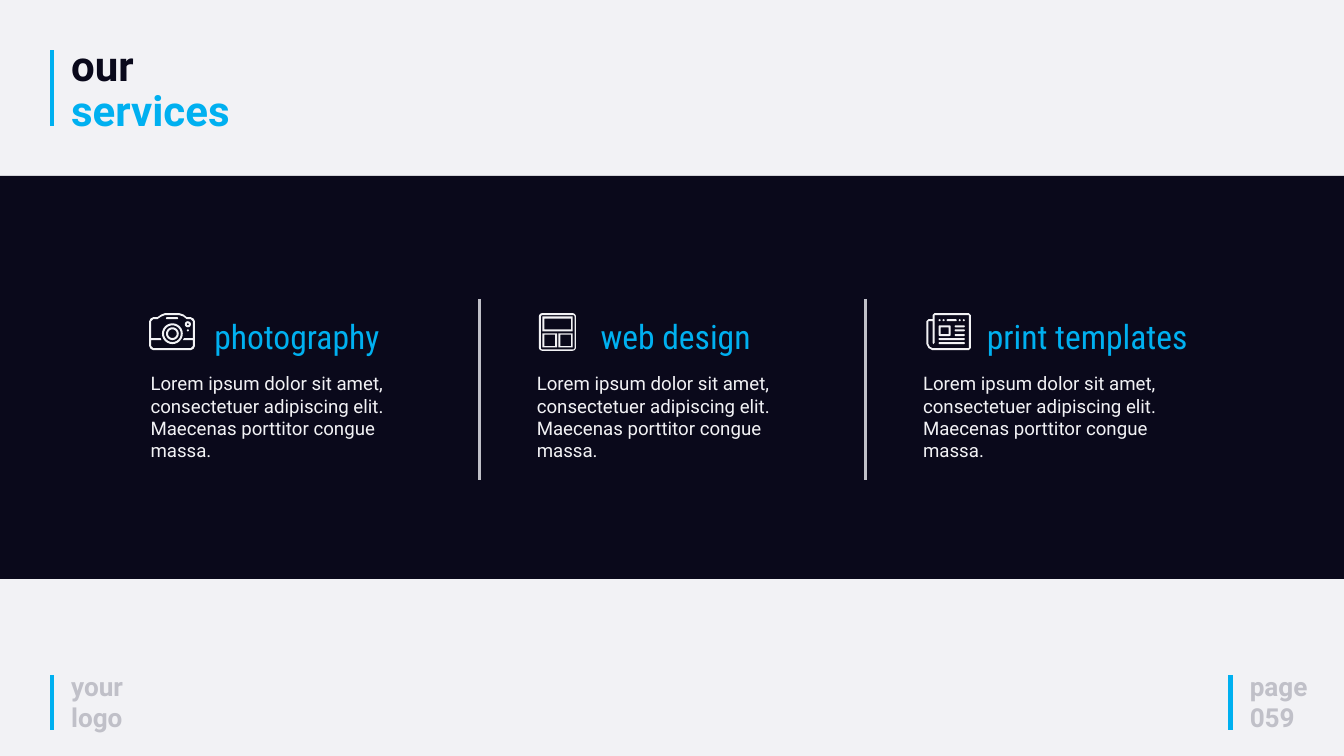
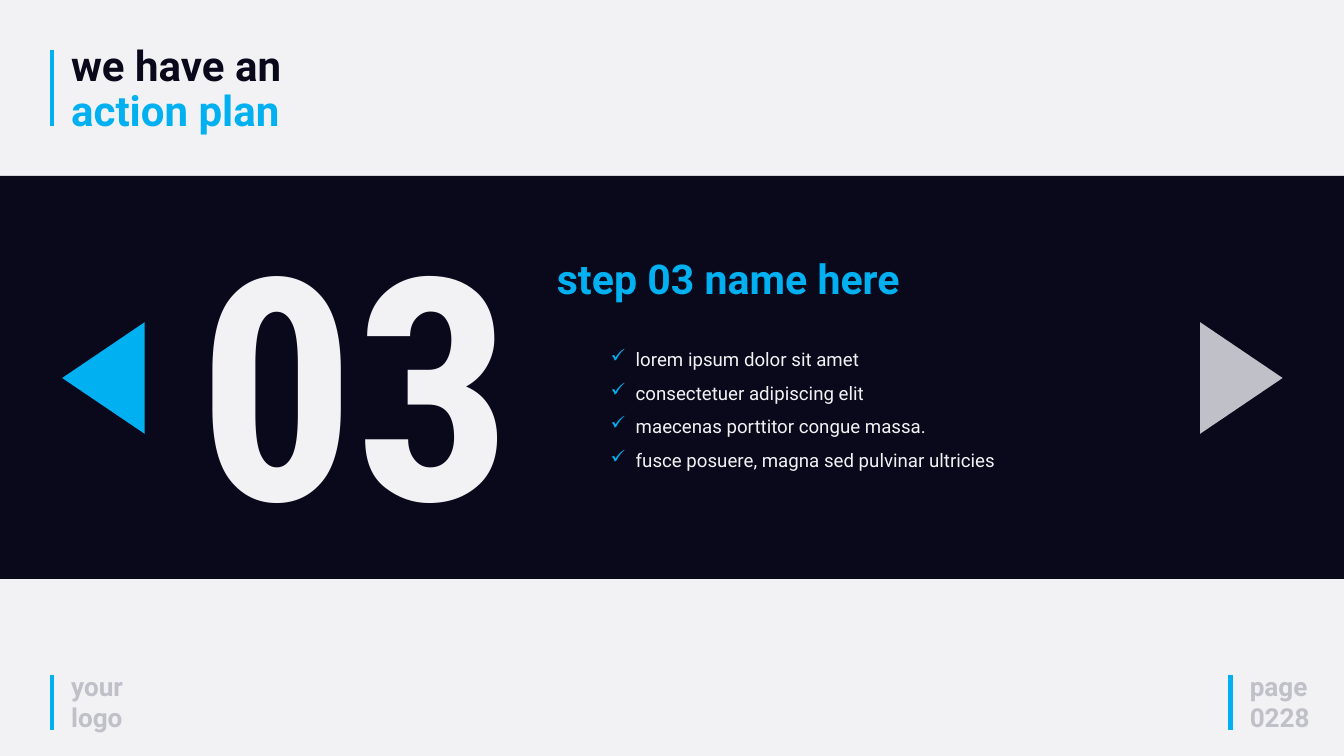
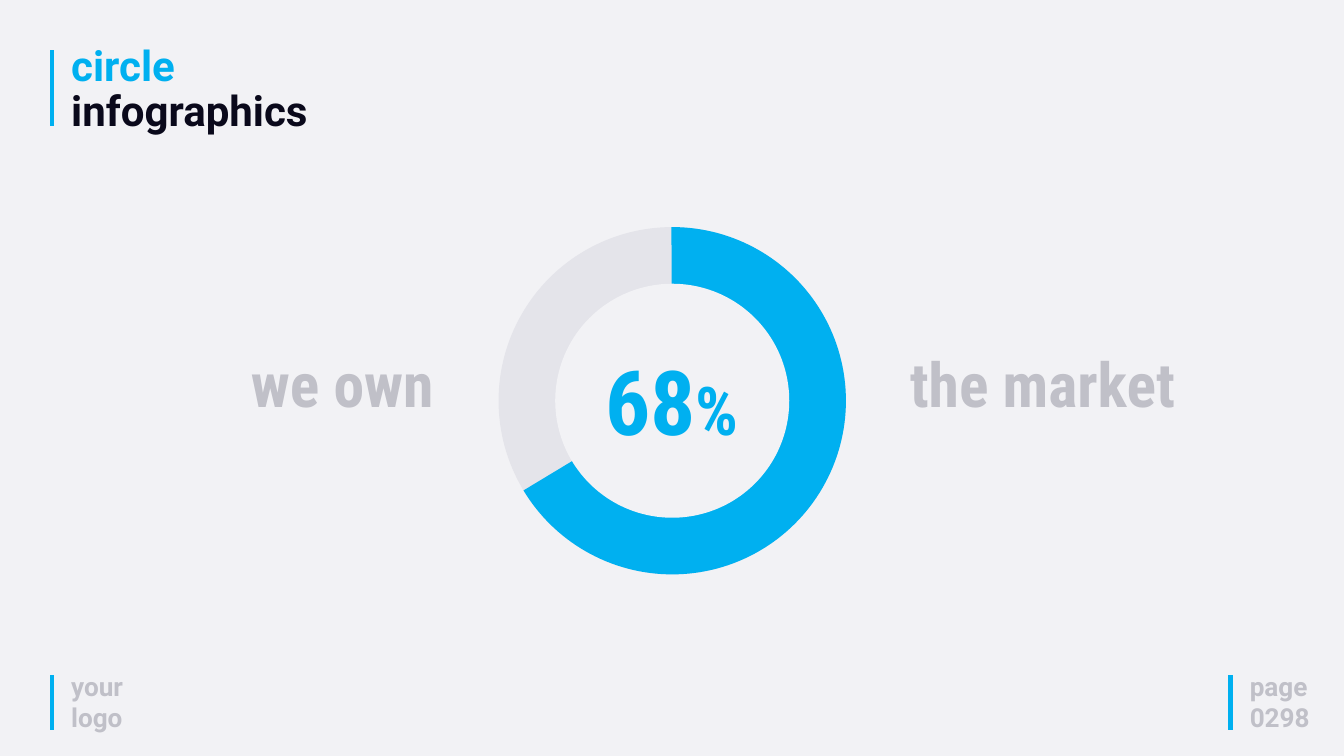
"""Builds three slides: services, action plan step and circle infographic."""
from math import cos, pi, sin

from lxml import etree
from pptx import Presentation
from pptx import util as u
from pptx.dml.color import RGBColor
from pptx.enum import shapes, text
from pptx.oxml.ns import qn

Cm = u.Cm
CYAN, NAVY, PALE, GREY, RING = "00B0F0", "0A091B", "F2F2F5", "C0C0C8", "E4E4EA"
PLAIN, NARROW = "Roboto", "Roboto Condensed"
SHAPE = shapes.MSO_SHAPE
ICON_UNIT = Cm(2.54) / 100

TITLES = [
    [("our", NAVY), ("services", CYAN)],
    [("we have an", NAVY), ("action plan", CYAN)],
    [("circle", CYAN), ("infographics", NAVY)],
]
PAGES = ["059", "0228", "0298"]
ACCENTS = [(1.96, 1.9, 4.78), (1.96, 25.53, 27.58), (46.51, 25.53, 27.58)]

BLURB = ("Lorem ipsum dolor sit amet, consectetuer adipiscing elit. "
         "Maecenas porttitor congue massa.")
CAMERA = {
    "boxes": [(25, 6, 43, 9, 1.5), (19, 15, 50, 46, 15.5), (22, 18, 47, 43, 12.5),
              (25, 21, 44, 40, 9.5), (28, 24, 41, 37, 6.5), (56, 24, 59, 27, 1.5),
              (53, 12, 62, 21, 4.5), (56, 15, 59, 18, 1.5)],
    "outlines": [
        [(0, 12), (2, 8), (6, 6), (12, 6), (18, 2), (23, 0), (45, 0), (51, 2), (56, 6),
         (62, 6), (66, 8), (68, 12), (68, 49), (66, 53), (62, 55), (6, 55), (2, 53), (0, 49)],
        [(65, 37), (52, 37), (50, 40), (65, 40), (65, 49), (62, 52), (6, 52), (3, 49),
         (3, 40), (18, 40), (17, 37), (3, 37), (3, 12), (6, 9), (12, 9), (18, 5), (23, 3),
         (45, 3), (51, 5), (56, 9), (62, 9), (65, 12)],
    ],
}
LAYOUT = {
    "boxes": [(0, 0, 55, 56, 5), (3, 3, 53, 54, 2), (5, 5, 50, 27, 0), (8, 8, 48, 24, 0),
              (5, 30, 27, 51, 0), (8, 32, 24, 49, 0), (29, 30, 50, 51, 0), (32, 32, 48, 49, 0)],
    "outlines": [],
}
NEWSPAPER = {
    "boxes": [(30, 9, 45, 12, 1.5), (18, 18, 36, 34, 2), (21, 21, 33, 31, 0),
              *[(x, 9, x + 3, 12, 1.5) for x in (18, 24, 48, 54)],
              *[(42, y, 57, y + 3, 1.5) for y in (18, 24, 31)],
              *[(18, y, 57, y + 3, 1.5) for y in (37, 43)]],
    "outlines": [
        [(12, 0), (63, 0), (66, 3), (66, 52), (63, 55), (9, 55), (3, 52), (0, 46),
         (0, 12), (3, 9), (9, 9), (9, 3)],
        [(63, 52), (9, 52), (5, 50), (3, 46), (3, 12), (9, 12), (9, 44), (10, 46),
         (12, 44), (12, 3), (63, 3)],
    ],
}
SERVICES = [("photography", CAMERA, 0.2), ("web design", LAYOUT, 0.33),
            ("print templates", NEWSPAPER, 0.38)]
SERVICE_LEFT, SERVICE_STEP = 5.44, 14.6

STEP_NUMBER, STEP_NAME = "03", "step 03 name here"
STEP_POINTS = ["lorem ipsum dolor sit amet", "consectetuer adipiscing elit",
               "maecenas porttitor congue massa.",
               "fusce posuere, magna sed pulvinar ultricies"]
ARROWS = [(44.81, 90, GREY), (1.8, 270, CYAN)]

SHARE = [("68", 96), ("%", 72)]
RING_CENTRE = (25.41, 15.15)
CLAIMS = [("we own", 2.57, 14.07, text.PP_ALIGN.RIGHT),
          ("the market", 34.14, 13.56, text.PP_ALIGN.LEFT)]


def rgb(colour):
    """Turn a hex string into a colour."""
    return RGBColor.from_string(colour)


def style(font, size, colour, face, bold):
    """Set the look of a font."""
    font.size, font.name, font.bold = u.Pt(size), face, bold
    font.color.rgb = rgb(colour)


def add_text(slide, box, lines, size, colour, face=PLAIN, bold=False,
             align=None, spacing=None, bullet=None):
    """Add a wrapped text box with one paragraph per line."""
    frame = slide.shapes.add_textbox(*map(Cm, box)).text_frame
    frame.word_wrap = True
    for index, line in enumerate(lines):
        paragraph = frame.add_paragraph() if index else frame.paragraphs[0]
        paragraph.text = line
        if align is not None:
            paragraph.alignment = align
        if spacing:
            paragraph.line_spacing = spacing
        if bullet:
            add_bullet(paragraph, bullet)
        style(paragraph.font, size, colour, face, bold)
    return frame


def add_bullet(paragraph, mark):
    """Give a paragraph a cyan hanging bullet."""
    properties = paragraph._p.get_or_add_pPr()
    properties.set("marL", str(Cm(0.95)))
    properties.set("indent", str(-Cm(0.95)))
    tint = etree.SubElement(properties, qn("a:buClr"))
    etree.SubElement(tint, qn("a:srgbClr"), val=CYAN)
    etree.SubElement(properties, qn("a:buChar"), char=mark)


def paint(shape, fill, edge=None):
    """Fill a shape and outline it only if an edge colour is given."""
    shape.shadow.inherit = False
    shape.fill.solid()
    shape.fill.fore_color.rgb = rgb(fill)
    if edge:
        shape.line.color.rgb = rgb(edge)
        shape.line.width = u.Pt(3)
    else:
        shape.line.fill.background()
    return shape


def add_shape(slide, kind, box, fill, edge=None):
    """Add a painted preset shape."""
    return paint(slide.shapes.add_shape(kind, *map(Cm, box)), fill, edge)


def add_rule(slide, x, top, bottom, colour, width):
    """Add a vertical line."""
    rule = slide.shapes.add_connector(shapes.MSO_CONNECTOR.STRAIGHT,
                                      Cm(x), Cm(top), Cm(x), Cm(bottom))
    rule.line.color.rgb = rgb(colour)
    rule.line.width = u.Pt(width)
    etree.SubElement(rule._element.spPr, qn("a:effectLst"))


def rounded(left, top, right, bottom, radius):
    """List the points of a rounded box."""
    if not radius:
        return [(left, top), (right, top), (right, bottom), (left, bottom)]
    corners = [(right - radius, bottom - radius), (left + radius, bottom - radius),
               (left + radius, top + radius), (right - radius, top + radius)]
    return [(x + radius * cos(angle), y + radius * sin(angle))
            for quarter, (x, y) in enumerate(corners)
            for angle in [(quarter + step / 6) * pi / 2 for step in range(7)]]


def add_icon(slide, icon, left, top):
    """Draw all contours of an icon as one freeform."""
    contours = icon["outlines"] + [rounded(*box) for box in icon["boxes"]]
    builder = None
    for contour in contours:
        first, *rest = [(x * ICON_UNIT, y * ICON_UNIT) for x, y in contour]
        if builder:
            builder.move_to(*first)
        else:
            builder = slide.shapes.build_freeform(*first)
        builder.add_line_segments(rest, close=True)
    paint(builder.convert_to_shape(Cm(left), Cm(top)), PALE)


def add_base(deck, title, page, band):
    """Add a slide with its background, title, accents and footers."""
    slide = deck.slides.add_slide(deck.slide_layouts[6])
    slide.background.fill.solid()
    slide.background.fill.fore_color.rgb = rgb(PALE)
    if band:
        add_shape(slide, SHAPE.RECTANGLE, (0, 6.65, 50.8, 15.24), NAVY)
    for x, top, bottom in ACCENTS:
        add_rule(slide, x, top, bottom, CYAN, 5)
    frame = add_text(slide, (2.44, 1.57, 15.14, 3.71), ["\v".join(part for part, _ in title)],
                     45, NAVY, bold=True, spacing=0.9)
    for run, (_, colour) in zip(frame.paragraphs[0].runs, title):
        run.font.color.rgb = rgb(colour)
    add_text(slide, (2.44, 25.22, 3.02, 2.64), ["your logo"], 28, GREY, bold=True)
    add_text(slide, (46.99, 25.2, 4.83, 2.64), ["page", page], 28, GREY, bold=True)
    return slide


def add_services(slide):
    """Add the three service columns and their dividers."""
    for index, (service, icon, icon_shift) in enumerate(SERVICES):
        left = SERVICE_LEFT + index * SERVICE_STEP
        if index:
            add_rule(slide, left - 1.93, 11.3, 18.14, GREY, 3)
        add_text(slide, (left, 13.94, 10.64, 3.68), [BLURB], 20, PALE)
        add_text(slide, (left + 2.41, 11.81, 8.31, 1.8), [service], 36, CYAN, NARROW)
        add_icon(slide, icon, left + icon_shift, 11.84)


def add_step(slide):
    """Add the numbered step with its points and arrows."""
    add_text(slide, (7.26, 7.04, 15.14, 14.5), [STEP_NUMBER], 333, PALE, NARROW, True)
    for left, turn, colour in ARROWS:
        arrow = add_shape(slide, SHAPE.ISOSCELES_TRIANGLE, (left, 12.73, 4.22, 3.12), colour)
        arrow.rotation = turn
    add_text(slide, (20.8, 9.45, 15.8, 2.13), [STEP_NAME], 44, CYAN, bold=True)
    add_text(slide, (22.83, 12.6, 17.83, 5.38), STEP_POINTS, 20, PALE, spacing=1.5, bullet="✓")


def add_ring(slide):
    """Add the share ring and the claim around it."""
    def around(size):
        return [centre - size / 2 for centre in RING_CENTRE] + [size, size]

    add_shape(slide, SHAPE.OVAL, around(13.13), RING)
    arc = add_shape(slide, SHAPE.BLOCK_ARC, around(13.13), CYAN)
    for index, value in enumerate((161.84, 89.34, 0.18)):
        arc.adjustments[index] = value
    add_shape(slide, SHAPE.OVAL, around(8.74), PALE, PALE)
    frame = add_text(slide, (21.36, 12.95, 8.08, 4.37), [""], 96, CYAN, NARROW, True,
                     text.PP_ALIGN.CENTER)
    for part, size in SHARE:
        run = frame.paragraphs[0].add_run()
        run.text = part
        style(run.font, size, CYAN, NARROW, True)
    for claim, left, width, align in CLAIMS:
        add_text(slide, (left, 12.95, width, 3.07), [claim], 66, GREY, NARROW, True, align)


def main():
    """Build and save the deck."""
    deck = Presentation()
    deck.slide_width, deck.slide_height = Cm(50.8), Cm(28.58)
    bodies = [(add_services, True), (add_step, True), (add_ring, False)]
    for title, page, (add_body, band) in zip(TITLES, PAGES, bodies):
        add_body(add_base(deck, title, page, band))
    deck.save("out.pptx")


if __name__ == "__main__":
    main()
